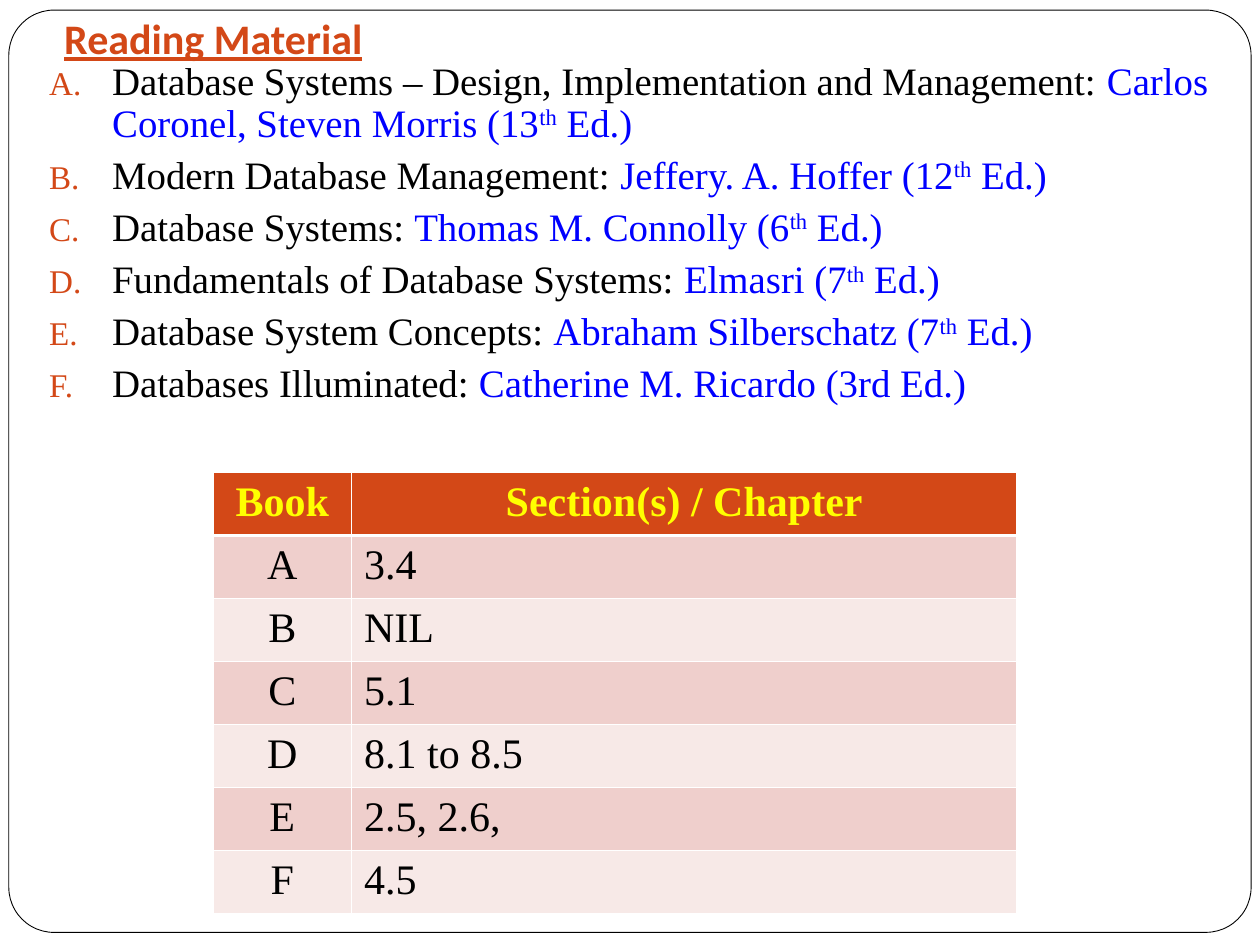
from dataclasses import dataclass

from lxml.etree import SubElement
from pptx import Presentation
from pptx.dml.color import RGBColor
from pptx.enum.shapes import MSO_SHAPE
from pptx.enum.text import MSO_ANCHOR, MSO_AUTO_SIZE, PP_ALIGN
from pptx.oxml.ns import qn
from pptx.util import Inches, Pt


@dataclass(frozen=True)
class Theme:
    """Colours, fonts and type sizes of the slide."""

    accent: str = "D34817"
    paper: str = "FFFFFF"
    ink: str = "000000"
    author: str = "0000FF"
    heading: str = "FFFF00"
    bands: tuple = ("EFCFCC", "F7E9E7")
    title_font: str = "Calibri"
    text_font: str = "Times New Roman"
    large: float = 24
    body: float = 22.2


THEME = Theme()
CELL = 0.1
COLUMNS, ROWS = 100, 75
BOOKS = [
    ("Database Systems – Design, Implementation and Management: ", "Carlos Coronel, Steven Morris (13", "th", " Ed.)"),
    ("Modern Database Management: ", "Jeffery. A. Hoffer (12", "th", " Ed.)"),
    ("Database Systems: ", "Thomas M. Connolly (6", "th", " Ed.)"),
    ("Fundamentals of Database Systems: ", "Elmasri (7", "th", " Ed.)"),
    ("Database System Concepts: ", "Abraham Silberschatz (7", "th", " Ed.)"),
    ("Databases Illuminated: ", "Catherine M. Ricardo (3rd Ed.)"),
]
CHAPTERS = [
    ("Book", "Section(s) / Chapter"),
    ("A", "3.4"),
    ("B", "NIL"),
    ("C", "5.1"),
    ("D", "8.1 to 8.5"),
    ("E", "2.5, 2.6,"),
    ("F", "4.5"),
]


def grid(*counts):
    """Turn counts of grid cells into lengths."""
    return [Inches(count * CELL) for count in counts]


def colour(code):
    """Return the colour of a hexadecimal code."""
    return RGBColor.from_string(code)


def write(para, text, *, font=THEME.text_font, size=THEME.large, ink=THEME.ink,
          bold=False, underline=False, raised=False):
    """Add a formatted span to a paragraph."""
    span = para.add_run()
    span.text = text
    span.font.name = font
    span.font.size = Pt(size)
    span.font.color.rgb = colour(ink)
    span.font.bold = bold
    span.font.underline = underline
    if raised:
        span.font._element.set("baseline", "30000")


def place(box, left, top, width, height, anchor):
    """Move a placeholder to grid cells and return its text frame."""
    box.left, box.top, box.width, box.height = grid(left, top, width, height)
    frame = box.text_frame
    frame.word_wrap = True
    frame.auto_size = MSO_AUTO_SIZE.NONE
    frame.vertical_anchor = anchor
    return frame


def add_frame(slide):
    """Draw the rounded page border behind everything else."""
    border = slide.shapes.add_shape(MSO_SHAPE.ROUNDED_RECTANGLE, *grid(0.7, 0.8, 98.6, 73.2))
    border.adjustments[0] = 0.049
    border.shadow.inherit = False
    border.fill.solid()
    border.fill.fore_color.rgb = colour(THEME.paper)
    border.line.color.rgb = colour(THEME.ink)
    border.line.width = Pt(0.5)
    slide.shapes.element.insert(2, border.element)


def add_title(slide, text):
    """Fill the title placeholder."""
    frame = place(slide.shapes.title, 4.1, 1, 75.3, 5, MSO_ANCHOR.BOTTOM)
    frame.margin_bottom = Inches(0.1)
    para = frame.paragraphs[0]
    para.alignment = PP_ALIGN.LEFT
    write(para, text, font=THEME.title_font, ink=THEME.accent, bold=True, underline=True)


def letter(para):
    """Give a paragraph a hanging capital letter."""
    properties = para._p.get_or_add_pPr()
    properties.set("marL", str(Inches(0.5)))
    properties.set("indent", str(-Inches(0.5)))
    tint = SubElement(properties, qn("a:buClr"))
    SubElement(tint, qn("a:srgbClr"), val=THEME.accent)
    SubElement(properties, qn("a:buSzPct"), val="85000")
    SubElement(properties, qn("a:buFont"), typeface=THEME.text_font)
    SubElement(properties, qn("a:buAutoNum"), type="alphaUcPeriod")


def add_books(slide, books):
    """List the books, lettered, with their authors in colour."""
    frame = place(slide.placeholders[1], 2.9, 4.4, 94.2, 33.5, MSO_ANCHOR.TOP)
    for index, (name, *credit) in enumerate(books):
        para = frame.add_paragraph() if index else frame.paragraphs[0]
        letter(para)
        para.alignment = PP_ALIGN.LEFT
        para.line_spacing = 0.9
        para.space_before = Pt(5.8 if index else 0)
        write(para, name, size=THEME.body)
        for part in credit:
            write(para, part, size=THEME.body, ink=THEME.author, raised=part == "th")


def rule_cell(cell, **widths):
    """Draw the borders of a table cell in the paper colour."""
    properties = cell._tc.get_or_add_tcPr()
    for side, width in widths.items():
        line = SubElement(properties, qn(f"a:ln{side}"), w=str(Pt(width)))
        fill = SubElement(line, qn("a:solidFill"))
        SubElement(fill, qn("a:srgbClr"), val=THEME.paper)


def add_chapters(slide, rows):
    """Build the banded table of chapters for each book."""
    thin, thick = 0.45, 1.47
    shape = slide.shapes.add_table(len(rows), 2, *grid(16.9, 37.5, 63.8, 5 * len(rows)))
    table = shape.table
    for column, width in zip(table.columns, grid(11, 52.8)):
        column.width = width
    for row, texts in enumerate(rows):
        header = row == 0
        for column, text in enumerate(texts):
            cell = table.cell(row, column)
            rule_cell(cell, L=thin, R=thin, T=thick if row == 1 else thin, B=thick if header else thin)
            cell.fill.solid()
            cell.fill.fore_color.rgb = colour(THEME.accent if header else THEME.bands[(row - 1) % 2])
            para = cell.text_frame.paragraphs[0]
            para.alignment = PP_ALIGN.CENTER if header or column == 0 else PP_ALIGN.LEFT
            write(para, text, ink=THEME.heading if header else THEME.ink, bold=header)


def main():
    """Build and save the deck."""
    deck = Presentation()
    deck.slide_width, deck.slide_height = grid(COLUMNS, ROWS)
    page = deck.slides.add_slide(deck.slide_layouts[1])
    add_frame(page)
    add_title(page, "Reading Material")
    add_books(page, BOOKS)
    add_chapters(page, CHAPTERS)
    deck.save("out.pptx")


if __name__ == "__main__":
    main()
